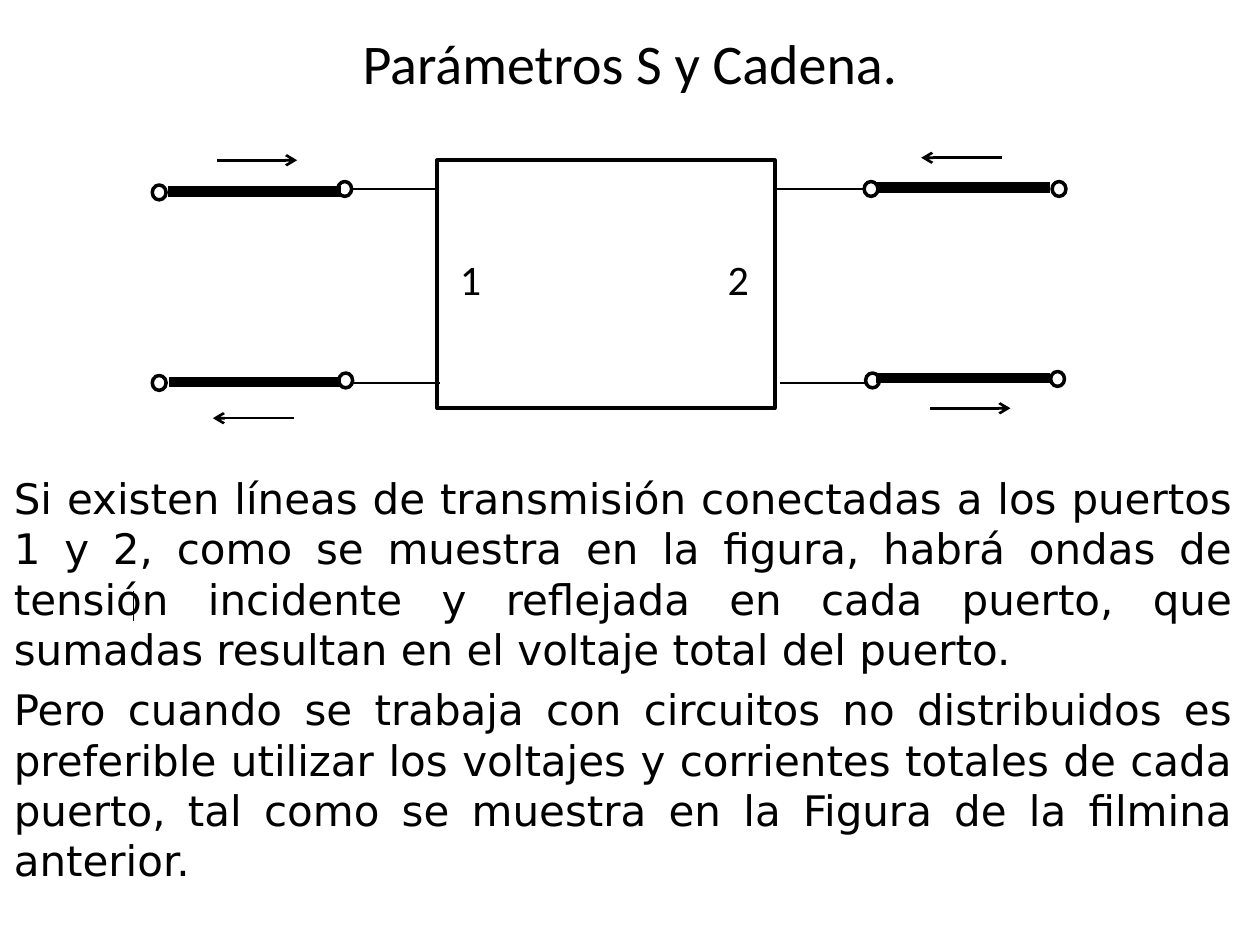
import pptx
import pptx.util
import pptx.dml.color
import pptx.enum.shapes
import pptx.enum.text
import pptx.oxml.ns
import lxml.etree

Cm, Pt = pptx.util.Cm, pptx.util.Pt
ALIGN = pptx.enum.text.PP_ALIGN
ANCHOR = pptx.enum.text.MSO_ANCHOR
SHAPE = pptx.enum.shapes.MSO_SHAPE
COLORS = {"ink": "000000", "paper": "FFFFFF"}

TITLE = "Parámetros S y Cadena."
EXPLANATION = [
    "Si existen líneas de transmisión conectadas a los puertos 1 y 2, como se muestra en la figura, "
    "habrá ondas de tensión incidente y reflejada en cada puerto, que sumadas resultan en el voltaje "
    "total del puerto.",
    "Pero cuando se trabaja con circuitos no distribuidos es preferible utilizar los voltajes y "
    "corrientes totales de cada puerto, tal como se muestra en la Figura de la filmina anterior.",
]
PORTS = ["1", "2"]
PORT_GAP = 5.4

NETWORK = (8.81, 3.23, 6.81, 5)
RING_SIZE = (0.28, 0.3)
INNER_RINGS = [(6.81, 3.66), (6.83, 7.52), (17.42, 3.66), (17.45, 7.52)]
OUTER_RINGS = [(3.07, 3.73), (3.07, 7.57), (21.21, 3.66), (21.18, 7.49)]
LEADS = [(6.91, 8.81, 3.81), (6.96, 8.86, 7.72), (17.58, 15.67, 3.81), (17.6, 15.72, 7.72)]
WAVES = [(4.37, 5.99, 3.23), (18.75, 20.37, 8.23), (5.92, 4.29, 8.43), (20.19, 18.57, 3.18)]
TRANSMISSION_LINES = [(3.38, 6.88, 3.86), (3.4, 6.88, 7.7), (21.16, 17.65, 3.78), (21.16, 17.65, 7.62)]
TICK = (2.69, 12.52, 2.69, 11.91)


def rgb(name):
    return pptx.dml.color.RGBColor.from_string(COLORS[name])


def add_child(parent, tag, **attributes):
    return lxml.etree.SubElement(parent, pptx.oxml.ns.qn(tag), **attributes)


def write(holder, paragraphs, size=24, font="Calibri", align=ALIGN.LEFT,
          anchor=ANCHOR.TOP, gap=0, tab=None):
    frame = holder.text_frame
    frame.word_wrap = True
    frame.auto_size = pptx.enum.text.MSO_AUTO_SIZE.NONE
    frame.vertical_anchor = anchor
    for index, words in enumerate(paragraphs):
        paragraph = frame.paragraphs[0] if index == 0 else frame.add_paragraph()
        paragraph.text = words
        paragraph.alignment = align
        paragraph.space_before = Pt(gap if index else 0)
        if tab:
            stops = add_child(paragraph._p.get_or_add_pPr(), "a:tabLst")
            add_child(stops, "a:tab", pos=str(Cm(tab)), algn="l")
        paragraph.font.size = Pt(size)
        paragraph.font.name = font
        paragraph.font.color.rgb = rgb("ink")


def draw_outline(kind, left, top, width, height):
    outline = slide.shapes.add_shape(kind, Cm(left), Cm(top), Cm(width), Cm(height))
    outline.shadow.inherit = False
    outline.fill.solid()
    outline.fill.fore_color.rgb = rgb("paper")
    outline.line.color.rgb = rgb("ink")
    outline.line.width = Pt(2)


def draw_line(x1, y1, x2, y2, weight, arrow=False):
    line = slide.shapes.add_connector(
        pptx.enum.shapes.MSO_CONNECTOR.STRAIGHT, Cm(x1), Cm(y1), Cm(x2), Cm(y2))
    line.line.color.rgb = rgb("ink")
    line.line.width = Pt(weight)
    if arrow:
        add_child(line.line._get_or_add_ln(), "a:tailEnd", type="arrow")
    add_child(line._element.spPr, "a:effectLst")


def draw_horizontals(spans, weight, arrow=False):
    for start, end, y in spans:
        draw_line(start, y, end, y, weight, arrow)


def draw_rings(corners):
    for left, top in corners:
        draw_outline(SHAPE.OVAL, left, top, *RING_SIZE)


deck = pptx.Presentation()
deck.slide_width, deck.slide_height = Cm(25.4), Cm(19.05)
slide = deck.slides.add_slide(deck.slide_layouts[5])

title = slide.shapes.title
title.left, title.top, title.width, title.height = Cm(0), Cm(0.23), Cm(25.4), Cm(2.03)
write(title, [TITLE], size=32, align=ALIGN.CENTER, anchor=ANCHOR.MIDDLE)

explanation = slide.shapes.add_textbox(Cm(0.03), Cm(9.4), Cm(25.07), Cm(9.45))
write(explanation, EXPLANATION, font="DejaVu Sans", align=ALIGN.JUSTIFY, gap=5.5)

draw_line(*TICK, 1)
draw_outline(SHAPE.RECTANGLE, *NETWORK)
draw_horizontals(LEADS, 0.75)
draw_rings(INNER_RINGS)
draw_horizontals(WAVES, 1.5, arrow=True)

ports = slide.shapes.add_textbox(Cm(9.02), Cm(4.98), Cm(6.53), Cm(1.27))
write(ports, ["\t".join(PORTS)], tab=PORT_GAP)

draw_horizontals(TRANSMISSION_LINES, 6)
draw_rings(OUTER_RINGS)

deck.save("out.pptx")
